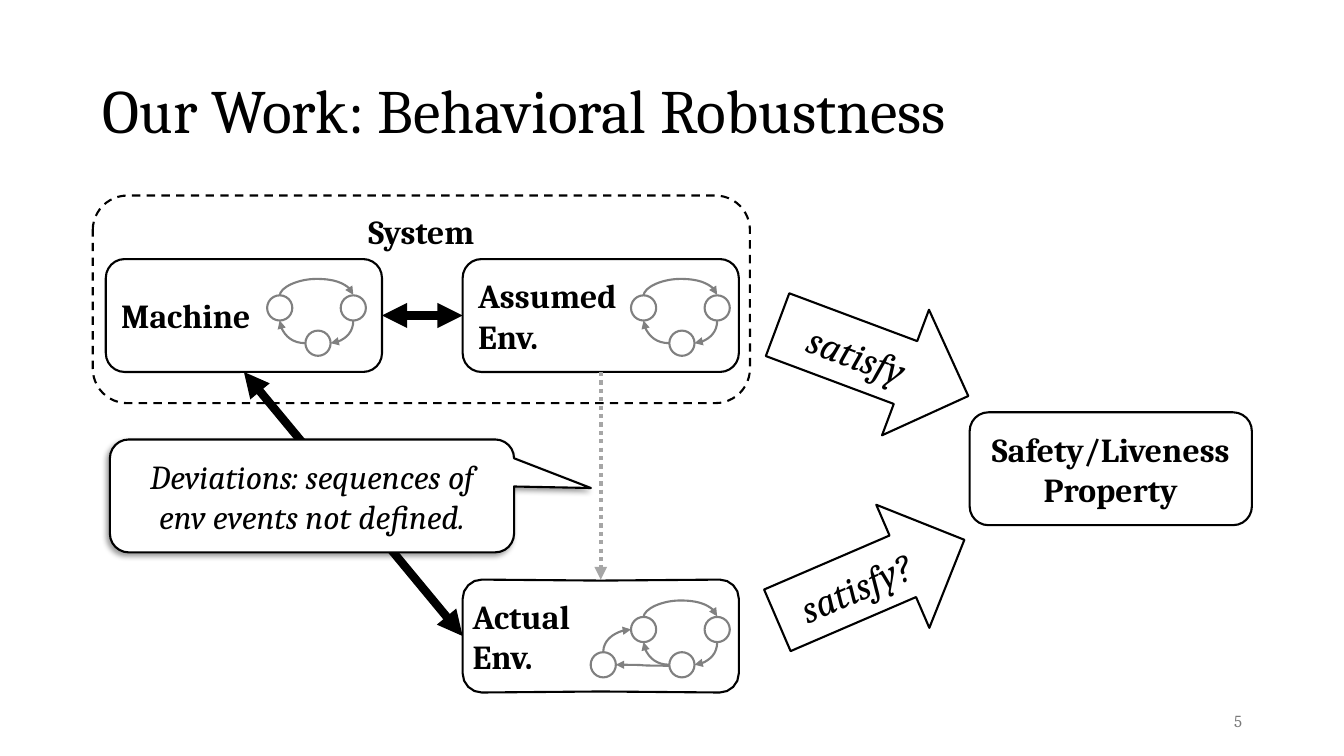
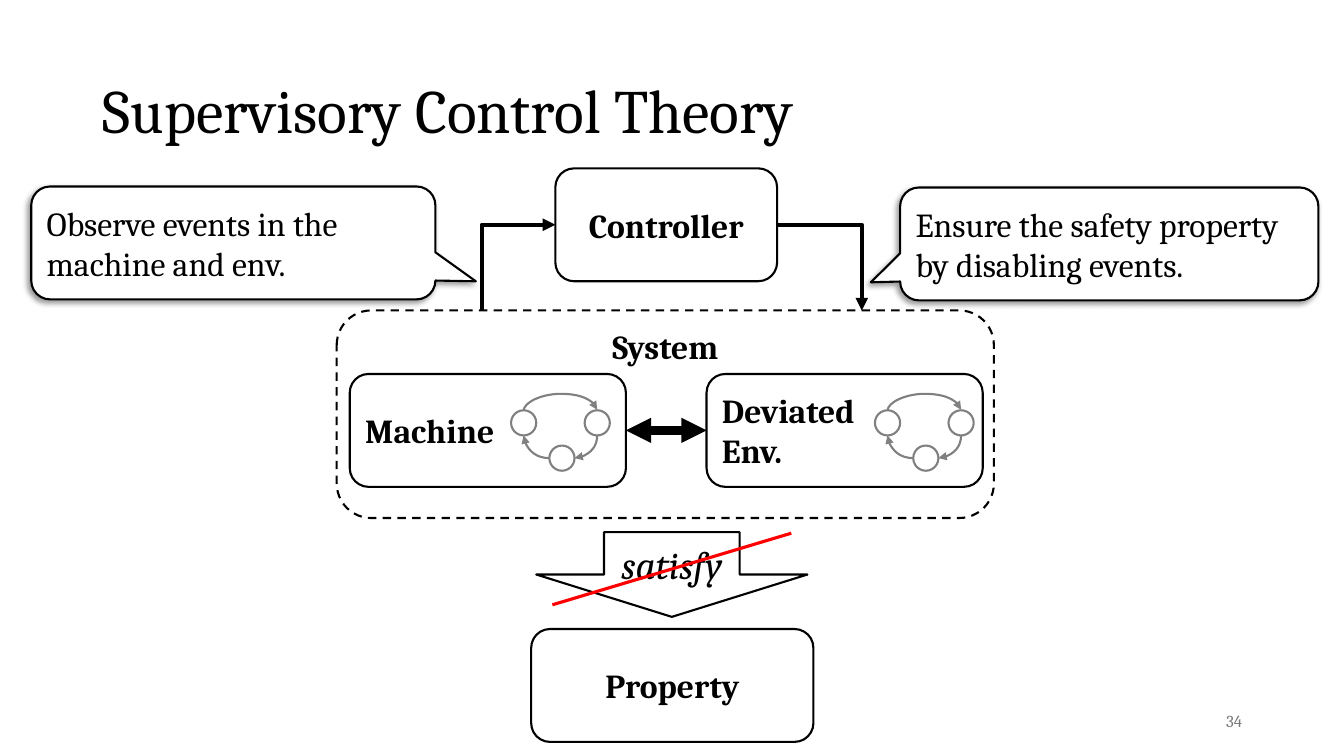
from math import cos, pi, sin

from lxml import etree
from pptx import Presentation
from pptx.dml.color import RGBColor
from pptx.enum.dml import MSO_LINE
from pptx.enum.shapes import MSO_CONNECTOR, MSO_SHAPE
from pptx.enum.text import MSO_ANCHOR, PP_ALIGN
from pptx.oxml.ns import qn
from pptx.util import Inches, Pt

BLACK = RGBColor(0x00, 0x00, 0x00)
WHITE = RGBColor(0xFF, 0xFF, 0xFF)
NODE_GRAY = RGBColor(0x80, 0x80, 0x80)
LINK_GRAY = RGBColor(0xA6, 0xA6, 0xA6)
NUMBER_GRAY = RGBColor(0x79, 0x79, 0x79)
RED = RGBColor(0xFF, 0x00, 0x00)
FONT = "Cambria"

LEFT, CENTER, RIGHT = PP_ALIGN.LEFT, PP_ALIGN.CENTER, PP_ALIGN.RIGHT
TOP, MIDDLE = MSO_ANCHOR.TOP, MSO_ANCHOR.MIDDLE
ROUNDED, OVAL = MSO_SHAPE.ROUNDED_RECTANGLE, MSO_SHAPE.OVAL
RIGHT_ARROW, DOWN_ARROW = MSO_SHAPE.RIGHT_ARROW, MSO_SHAPE.DOWN_ARROW
CALLOUT = MSO_SHAPE.ROUNDED_RECTANGULAR_CALLOUT
STRAIGHT, ELBOW, CURVE = MSO_CONNECTOR.STRAIGHT, MSO_CONNECTOR.ELBOW, MSO_CONNECTOR.CURVE
DASH, DOTS = MSO_LINE.DASH, MSO_LINE.ROUND_DOT
SIDE_LEFT, SIDE_BOTTOM, SIDE_RIGHT = 1, 2, 3

SLIDE_WIDTH, SLIDE_HEIGHT = 40 / 3, 7.5
BOX_WIDTH, BOX_HEIGHT = 2.74, 1.12
NODE = 0.25
NODE_STEP, NODE_DROP = 0.73, 0.35


def write(shape, lines, size=24, bold=False, italic=False, align=LEFT,
          anchor=MIDDLE, color=BLACK, spacing=None):
    frame = shape.text_frame
    frame.word_wrap = True
    frame.vertical_anchor = anchor
    for index, line in enumerate(lines):
        para = frame.paragraphs[0] if index == 0 else frame.add_paragraph()
        para.alignment = align
        if spacing:
            para.line_spacing = spacing
        span = para.add_run()
        span.text = line
        font = span.font
        font.name, font.size, font.bold, font.italic = FONT, Pt(size), bold, italic
        font.color.rgb = color


def outline(shape, color=BLACK, dash=None):
    """Give a shape its white fill and thin line, without a shadow."""
    shape.shadow.inherit = False
    shape.fill.solid()
    shape.fill.fore_color.rgb = WHITE
    shape.line.color.rgb = color
    shape.line.width = Pt(1.5)
    if dash:
        shape.line.dash_style = dash


def add_outlined(page, kind, left, top, width, height, color=BLACK, dash=None):
    shape = page.shapes.add_shape(kind, Inches(left), Inches(top), Inches(width), Inches(height))
    outline(shape, color, dash)
    return shape


def add_text(page, left, top, width, height, text, **style):
    write(page.shapes.add_textbox(Inches(left), Inches(top), Inches(width), Inches(height)),
          [text], **style)


def add_box(page, left, top, width, lines, align=CENTER):
    box = add_outlined(page, ROUNDED, left, top, width, BOX_HEIGHT)
    write(box, lines, bold=True, align=align)
    return box


def add_link(page, start, end, kind=STRAIGHT, color=BLACK, width=1.5,
             head=False, tail=False, dash=None, preset=None):
    """Draw a connector; head and tail put triangles at start and end."""
    link = page.shapes.add_connector(kind, *(Inches(value) for value in (*start, *end)))
    link.line.color.rgb = color
    link.line.width = Pt(width)
    if dash:
        link.line.dash_style = dash
    properties = link._element.spPr
    for tag, wanted in (("a:headEnd", head), ("a:tailEnd", tail)):
        if wanted:
            etree.SubElement(properties.find(qn("a:ln")), qn(tag), type="triangle")
    etree.SubElement(properties, qn("a:effectLst"))
    if preset:
        properties.find(qn("a:prstGeom")).set("prst", preset)
    return link


def add_quarter(page, start, end, **ends):
    """Curve that leaves sideways and arrives upright."""
    add_link(page, start, end, CURVE, NODE_GRAY, preset="curvedConnector2", **ends)


def add_arch(page, left, base, span):
    """Curve that rises from the left foot and comes down on the right one."""
    middle, thin = left + span / 2, 0.01
    arch = add_link(page, (middle + thin / 2, base + span / 2),
                    (middle - thin / 2, base - span / 2), CURVE, NODE_GRAY, tail=True)
    properties = arch._element.spPr
    properties.find(qn("a:xfrm")).set("rot", str(90 * 60000))
    guides = properties.find(qn("a:prstGeom")).get_or_add_avLst()
    etree.SubElement(guides, qn("a:gd"), name="adj1", fmla="val 1700000")


def add_sketch(page, left, top, width, height):
    """Rounded box with a slightly unsteady, hand-drawn edge."""
    radius, wobble, steps = 0.19, 0.01, 4
    corners = ((width - radius, height - radius), (radius, height - radius),
               (radius, radius), (width - radius, radius))
    points = []
    for index, (center_x, center_y) in enumerate(corners):
        for step in range(steps + 1):
            angle = (index + step / steps) * pi / 2
            points.append((left + center_x + radius * cos(angle),
                           top + center_y + radius * sin(angle)))
        if index % 2 == 0:
            edge_y = top + (height - wobble if index == 0 else wobble)
            points.append((left + width / 2, edge_y))
    placed = [(Inches(x), Inches(y)) for x, y in points]
    builder = page.shapes.build_freeform(*placed[0])
    builder.add_line_segments(placed[1:], close=True)
    shape = builder.convert_to_shape()
    outline(shape)
    return shape


def add_automaton(page, left, top, extended=False):
    """Three states in a cycle; the extended one has a fourth state."""
    half = NODE / 2
    low = top + NODE_DROP
    low_x = left + 0.38
    extra_x = left - 0.4
    nodes = [(left, top), (left + NODE_STEP, top), (low_x, low)]
    if extended:
        nodes.append((extra_x, low))
    for x, y in nodes:
        add_outlined(page, OVAL, x, y, NODE, NODE, NODE_GRAY)
    add_arch(page, left + half, top, NODE_STEP)
    add_quarter(page, (low_x + NODE, low + half), (left + NODE_STEP + half, top + NODE), head=True)
    add_quarter(page, (low_x, low + half), (left + half, top + NODE), tail=True)
    if extended:
        add_link(page, (low_x, low + half + 0.01), (extra_x + NODE, low + half),
                 CURVE, NODE_GRAY, tail=True)
        add_quarter(page, (left, top + half), (extra_x + half, low), head=True)


def add_system(page, left, top, env_lines):
    """Dashed frame with the machine and its environment; returns both boxes."""
    frame = add_outlined(page, ROUNDED, left, top, 6.52, 2.06, dash=DASH)
    write(frame, ["System"], bold=True, align=CENTER, anchor=TOP)
    boxes = []
    for shift, lines, cycle_shift in ((0.13, ["Machine"], 1.6), (3.67, env_lines, 1.67)):
        box_left, box_top = left + shift, top + 0.63
        boxes.append(add_box(page, box_left, box_top, BOX_WIDTH, lines, LEFT))
        add_automaton(page, box_left + cycle_shift, box_top + 0.36)
    machine, env = boxes
    exchange = add_link(page, (left + 2.87, top + 1.19), (left + 3.67, top + 1.19),
                        width=6, head=True, tail=True)
    exchange.begin_connect(machine, SIDE_RIGHT)
    exchange.end_connect(env, SIDE_LEFT)
    return machine, env


def add_callout(page, left, top, width, text, tip, **style):
    callout = add_outlined(page, CALLOUT, left, top, width, BOX_HEIGHT)
    for index, value in enumerate(tip):
        callout.adjustments[index] = value
    effects = callout._element.spPr.find(qn("a:effectLst"))
    shadow = etree.SubElement(effects, qn("a:outerShdw"), blurRad=str(Pt(4)), dist=str(Pt(3)),
                              dir=str(135 * 60000), algn="tr", rotWithShape="0")
    shade = etree.SubElement(shadow, qn("a:srgbClr"), val=str(BLACK))
    etree.SubElement(shade, qn("a:alpha"), val="40000")
    write(callout, [text], **style)


def add_satisfy(page, kind, left, top, width, height, text, rotation=0):
    arrow = add_outlined(page, kind, left, top, width, height)
    arrow.rotation = rotation
    write(arrow, [text], size=28, italic=True, align=CENTER)


def add_page(deck, title, number):
    page = deck.slides.add_slide(deck.slide_layouts[6])
    add_text(page, 0.92, 0.4, 11.5, 1.45, title, size=44, spacing=0.9)
    add_text(page, 9.42, 6.95, 3, 0.4, str(number), size=12, align=RIGHT, color=NUMBER_GRAY)
    return page


def build_robustness(deck):
    page = add_page(deck, "Our Work: Behavioral Robustness", 5)
    machine, assumed = add_system(page, 0.92, 1.94, ["Assumed", "Env."])
    add_box(page, 9.62, 4.09, 2.8, ["Safety/Liveness Property"])

    actual_left, actual_top = 4.59, 5.75
    deviation = add_link(page, (2.42, 3.69), (actual_left, 6.31), width=6, head=True, tail=True)
    deviation.begin_connect(machine, SIDE_BOTTOM)
    add_satisfy(page, RIGHT_ARROW, 7.65, 2.91, 2.02, 1.33, "satisfy", 20.5)
    change = add_link(page, (5.96, 3.69), (5.96, actual_top), color=LINK_GRAY, width=3,
                      tail=True, dash=DOTS)
    change.begin_connect(assumed, SIDE_BOTTOM)
    add_callout(page, 1.09, 4.36, 4.01, "Deviations: sequences of env events not defined.",
                (0.69, -0.07), italic=True, align=CENTER)
    add_satisfy(page, RIGHT_ARROW, 7.63, 5.09, 2.02, 1.33, "satisfy?", 336.7)

    actual = add_sketch(page, actual_left, actual_top, BOX_WIDTH, BOX_HEIGHT)
    write(actual, ["Actual", "Env."], bold=True)
    add_automaton(page, actual_left + 1.67, actual_top + 0.37, extended=True)


def build_control_theory(deck):
    page = add_page(deck, "Supervisory Control Theory", 34)
    system_top = 3.08
    add_system(page, 3.34, system_top, ["Deviated", "Env."])
    add_box(page, 5.27, 6.24, 2.8, ["Property"])
    add_satisfy(page, DOWN_ARROW, 5.32, 5.28, 2.69, 0.84, "satisfy")

    add_box(page, 5.51, 1.67, 2.2, ["Controller"])
    for start_x, end_x, ends in ((5.51, 4.78, {"head": True}), (7.71, 8.55, {"tail": True})):
        add_link(page, (start_x, 2.23), (end_x, system_top), ELBOW, width=3,
                 preset="bentConnector2", **ends)
    add_callout(page, 0.31, 1.85, 4.01, "Observe events in the machine and env.", (0.6, 0.34))
    add_callout(page, 8.93, 1.86, 4.15, "Ensure the safety property by disabling events.",
                (-0.57, 0.34))
    add_link(page, (7.85, 5.29), (5.48, 6), color=RED, width=2.25)


def main():
    deck = Presentation()
    deck.slide_width, deck.slide_height = Inches(SLIDE_WIDTH), Inches(SLIDE_HEIGHT)
    build_robustness(deck)
    build_control_theory(deck)
    deck.save("out.pptx")


if __name__ == "__main__":
    main()
